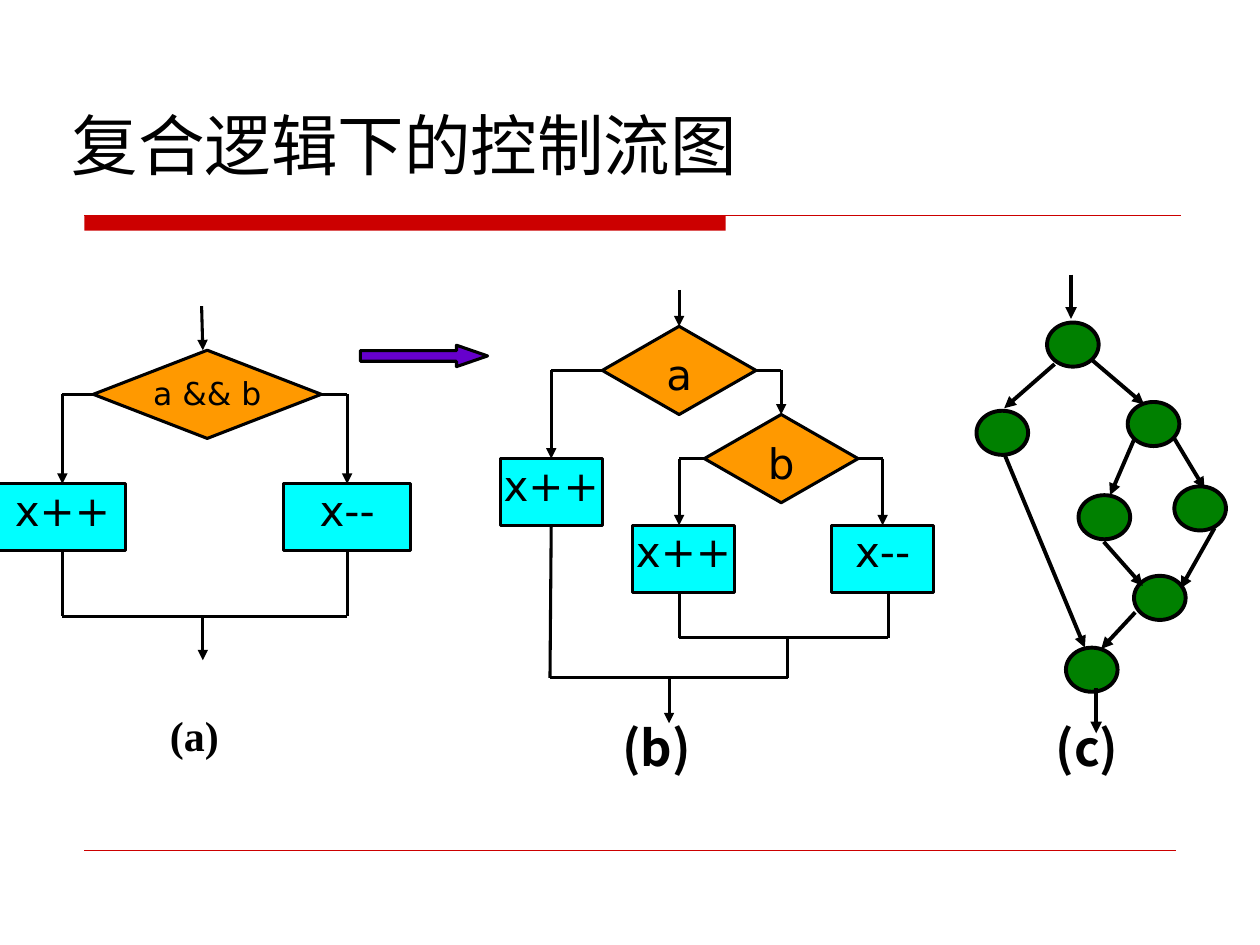
"""Build a slide on control flow graphs for compound logic."""
from lxml.etree import SubElement
from pptx import Presentation
from pptx.dml.color import RGBColor
from pptx.enum.shapes import MSO_CONNECTOR, MSO_SHAPE
from pptx.enum.text import MSO_ANCHOR, PP_ALIGN
from pptx.oxml.ns import qn
from pptx.util import Inches, Pt

UNIT = Inches(0.1)
RED, BLACK = "CC0000", "000000"
TITLE = "复合逻辑下的控制流图"
CJK = "Noto Sans CJK SC"
TOP, LEFT, BOTTOM, RIGHT = range(4)
SITE_SHARES = [(0.5, 0), (0, 0.5), (0.5, 1), (1, 0.5)]

STYLES = {
    "decision": (MSO_SHAPE.FLOWCHART_DECISION, "FF9900"),
    "action": (MSO_SHAPE.RECTANGLE, "00FFFF"),
}
FLOW_NODES = {
    "ab": ("decision", "a && b", 18, 7.4, 27.8, 18.1, 7),
    "ab yes": ("action", "x++", 24, -0.1, 38.4, 10.1, 5.3),
    "ab no": ("action", "x--", 24, 22.5, 38.4, 10.1, 5.3),
    "a": ("decision", "a", 24, 47.8, 25.9, 12.2, 7),
    "b": ("decision", "b", 24, 55.9, 32.9, 12.2, 7),
    "a no": ("action", "x++", 24, 39.7, 36.4, 8.1, 5.3),
    "b no": ("action", "x++", 24, 50.2, 41.7, 8.1, 5.3),
    "b yes": ("action", "x--", 24, 66, 41.7, 8.1, 5.3),
}
FLOW_ARROWS = [
    [(16, 24.3), (16.1, 27.8)],
    [("ab", LEFT), (4.95, 31.3), ("ab yes", TOP)],
    [("ab", RIGHT), (27.55, 31.3), ("ab no", TOP)],
    [(16.1, 48.9), (16.1, 52.4)],
    [(53.9, 23), ("a", TOP)],
    [("a", LEFT), (43.75, 29.4), ("a no", TOP)],
    [("a", RIGHT), (62, 29.4), ("b", TOP)],
    [("b", LEFT), (53.9, 36.4), (53.9, 41.7)],
    [("b", RIGHT), (70.05, 36.4), ("b yes", TOP)],
    [(53.1, 53.8), (53.1, 57.4)],
]
FLOW_JOINS = [
    [("ab yes", BOTTOM), (4.95, 48.9), (27.55, 48.9), ("ab no", BOTTOM)],
    [(53.9, 47), (53.9, 50.6), (70.5, 50.6), (70.5, 47)],
    [("a no", BOTTOM), (43.65, 53.8), (62.5, 53.8), (62.5, 50.6)],
]
GRAPH_NODES = [(83.1, 25.6), (77.5, 32.6), (89.5, 31.9), (93.2, 38.6),
               (85.6, 39.3), (84.6, 51.4), (90, 45.7)]
GRAPH_ARROWS = [
    [(86.7, 28.6), (90.8, 32.1)], [(83.7, 28.9), (79.7, 32.4)],
    [(93.2, 34.8), (95.6, 38.8)], [(90, 34.9), (88.1, 39.3)],
    [(79.7, 36), (86.1, 51.4)], [(90.1, 48.6), (87.4, 51.5)],
    [(87.6, 43), (90.7, 46.5)], [(96.4, 41.9), (93.7, 46.7)],
    [(87, 54.6), (87, 58.2)], [(85, 21.8), (85, 25.3)],
]
CAPTIONS = [
    ("(a)", 24, "Times New Roman", 12.5, 56.3, 8.1, 5.3),
    ("(b)", 28, CJK, 48.4, 57, 12.2, 5.3),
    ("(c)", 28, CJK, 82.8, 57, 11.8, 5.3),
]


def grid(*lengths):
    return [round(length * UNIT) for length in lengths]


def color(hex_value):
    return RGBColor.from_string(hex_value)


def set_all(target, values):
    for name, value in values.items():
        setattr(target, name, value)


def write(shape, text, size, face, bold=False, align=PP_ALIGN.LEFT,
          spacing=0.9, **frame_format):
    frame = shape.text_frame
    set_all(frame, {"word_wrap": True, "vertical_anchor": MSO_ANCHOR.TOP, **frame_format})
    paragraph = frame.paragraphs[0]
    set_all(paragraph, {"alignment": align, "line_spacing": spacing})
    run = paragraph.add_run()
    run.text = text
    set_all(run.font, {"size": Pt(size), "name": face, "bold": bold})
    run.font.color.rgb = color(BLACK)
    SubElement(run.font._element, qn("a:ea")).set("typeface", CJK)


def add_shape(slide, kind, fill, box, width):
    shape = slide.shapes.add_shape(kind, *grid(*box))
    shape.shadow.inherit = False
    shape.fill.solid()
    shape.fill.fore_color.rgb = color(fill)
    if width:
        shape.line.color.rgb = color(BLACK)
        shape.line.width = Pt(width)
    else:
        shape.line.fill.background()
    return shape


def add_line(slide, start, end, width, ink=BLACK, arrow=False):
    line = slide.shapes.add_connector(MSO_CONNECTOR.STRAIGHT, *grid(*start, *end))
    line.line.color.rgb = color(ink)
    line.line.width = Pt(width)
    if arrow:
        SubElement(line.line._get_or_add_ln(), qn("a:tailEnd")).set("type", "triangle")
    SubElement(line._element.spPr, qn("a:effectLst"))
    return line


def locate(point):
    if point[0] not in FLOW_NODES:
        return point
    left, top, width, height = FLOW_NODES[point[0]][3:]
    across, down = SITE_SHARES[point[1]]
    return left + across * width, top + down * height


def add_route(slide, points, nodes, width, arrow):
    last = len(points) - 2
    for step, (start, end) in enumerate(zip(points, points[1:])):
        line = add_line(slide, locate(start), locate(end), width,
                        arrow=arrow and step == last)
        for join, point in ((line.begin_connect, start), (line.end_connect, end)):
            if point[0] in nodes:
                join(nodes[point[0]], point[1])


def main():
    deck = Presentation()
    set_all(deck, {"slide_width": 100 * UNIT, "slide_height": 75 * UNIT})
    slide = deck.slides.add_slide(deck.slide_layouts[6])

    add_shape(slide, MSO_SHAPE.RECTANGLE, RED, (6.7, 17.1, 50.9, 1.2), 0)
    add_line(slide, (6.7, 17.1), (93.7, 17.1), 0.75, RED)
    add_line(slide, (6.7, 67.5), (93.3, 67.5), 0.25, RED)
    title = slide.shapes.add_textbox(*grid(3.5, 2.6, 93.4, 12.5))
    write(title, TITLE, 38, "DejaVu Sans", spacing=1.0,
          vertical_anchor=MSO_ANCHOR.BOTTOM, margin_left=Inches(0.22))

    for left, top in GRAPH_NODES:
        add_shape(slide, MSO_SHAPE.OVAL, "008000", (left, top, 4.1, 3.5), 2.25)
    nodes = {}
    for name, (style, text, size, *box) in FLOW_NODES.items():
        nodes[name] = add_shape(slide, *STYLES[style], box, 1.75)
        write(nodes[name], text, size, "DejaVu Sans", align=PP_ALIGN.CENTER,
              margin_left=0, margin_right=0)
    for routes, width, arrow in ((GRAPH_ARROWS, 2.25, True),
                                 (FLOW_ARROWS, 1.75, True),
                                 (FLOW_JOINS, 1.75, False)):
        for points in routes:
            add_route(slide, points, nodes, width, arrow)

    becomes = add_shape(slide, MSO_SHAPE.RIGHT_ARROW, "6600CC", (28.6, 27.4, 10.1, 1.7), 1.75)
    becomes.adjustments[0], becomes.adjustments[1] = 0.5, 1.45
    for text, size, face, *box in CAPTIONS:
        write(slide.shapes.add_textbox(*grid(*box)), text, size, face, bold=True)
    deck.save("out.pptx")


if __name__ == "__main__":
    main()
